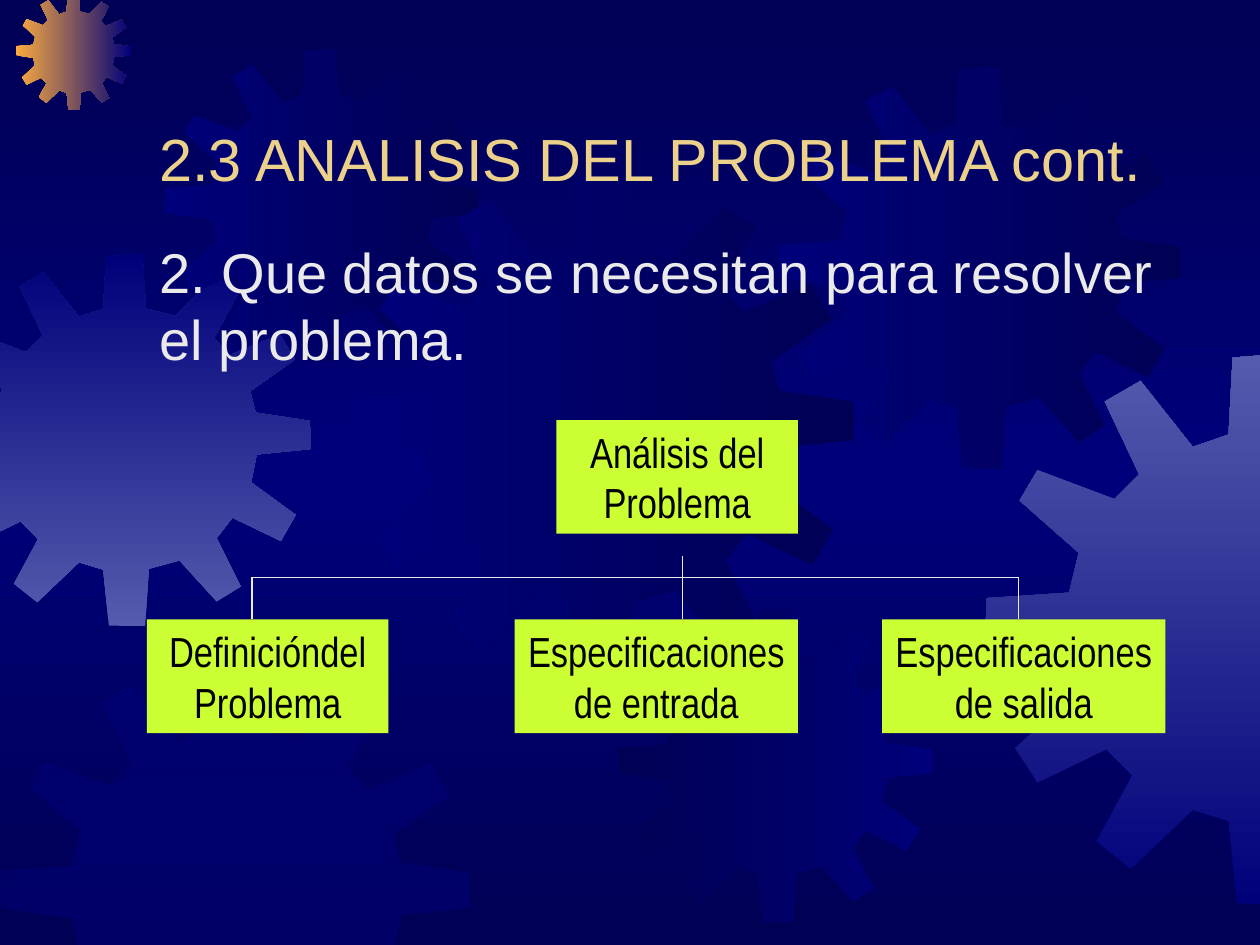
from copy import deepcopy
from dataclasses import dataclass

from lxml import etree
from pptx import Presentation
from pptx.dml.color import RGBColor
from pptx.enum.shapes import MSO_CONNECTOR, MSO_SHAPE
from pptx.enum.text import MSO_ANCHOR, MSO_AUTO_SIZE, PP_ALIGN
from pptx.oxml.ns import qn
from pptx.util import Pt

STRAIGHT = MSO_CONNECTOR.STRAIGHT
RECTANGLE = MSO_SHAPE.RECTANGLE
TOP, BOTTOM = MSO_ANCHOR.TOP, MSO_ANCHOR.BOTTOM
GROW = MSO_AUTO_SIZE.SHAPE_TO_FIT_TEXT
LEFT, CENTER = PP_ALIGN.LEFT, PP_ALIGN.CENTER


@dataclass(frozen=True)
class Theme:
    night: str = "000054"
    blue: str = "00007A"
    haze: str = "555BAD"
    orange: str = "FCAB40"
    gold: str = "EBD189"
    pale: str = "EAEAEA"
    lime: str = "CCFF33"
    black: str = "000000"
    font: str = "Arial"
    narrow: str = "Arial Narrow"
    title: int = 34
    body: int = 32
    label: int = 24
    rule: float = 0.75


THEME = Theme()
WIDTH, HEIGHT = 720, 540
RIGHTWARD, UPWARD = 0, 90
GEAR_UNITS = 401
GEAR_OUTLINE = [
    (255, 67), (223, 59), (219, 0), (180, 3), (177, 59), (151, 68),
    (113, 20), (87, 35), (112, 88), (94, 106), (38, 85), (25, 107),
    (68, 145), (61, 174), (1, 178), (0, 210), (61, 219), (67, 246),
    (22, 287), (38, 312), (88, 288), (107, 307), (81, 355), (106, 375),
    (151, 332), (177, 340), (183, 400), (222, 401), (226, 339), (259, 330),
    (299, 374), (325, 358), (299, 306), (316, 284), (368, 309), (384, 281),
    (336, 246), (342, 216), (401, 210), (400, 180), (341, 171), (335, 148),
    (383, 114), (367, 87), (313, 109), (296, 91), (323, 41), (297, 25),
]
GEARS = [
    ((-35, 145, 213), (THEME.haze, THEME.blue), UPWARD),
    ((9, -3, 66), (THEME.orange, THEME.blue), RIGHTWARD),
    ((94, 28, 179), (THEME.blue, THEME.night), RIGHTWARD),
    ((199, 100, 289), (THEME.blue, THEME.night), RIGHTWARD),
    ((0, 378, 269), (THEME.blue,), None),
    ((354, 348, 179), (THEME.night, THEME.blue), RIGHTWARD),
    ((445, 38, 230), (THEME.blue, THEME.night), RIGHTWARD),
    ((563, 202, 315), (THEME.blue, THEME.haze), UPWARD),
]


def apply(target, values):
    for name, value in values.items():
        setattr(target, name, value)


def color(code):
    return RGBColor.from_string(code)


def paint_stops(fill, codes, angle):
    fill.gradient_angle = angle
    for index, (stop, code) in enumerate(zip(fill.gradient_stops, codes)):
        stop.color.rgb = color(code)
        stop.position = index / (len(codes) - 1)


def paint_background(page):
    fill = page.background.fill
    fill.gradient()
    stops = page.element.find(".//" + qn("a:gsLst"))
    stops.append(deepcopy(stops[0]))
    paint_stops(fill, (THEME.night, THEME.blue, THEME.night), UPWARD)


def clip(points, axis, limit, sign):
    kept = []
    for start, end in zip(points[-1:] + points[:-1], points):
        start_in = sign * (start[axis] - limit) >= 0
        end_in = sign * (end[axis] - limit) >= 0
        if start_in != end_in:
            share = (limit - start[axis]) / (end[axis] - start[axis])
            kept.append(tuple(a + share * (b - a) for a, b in zip(start, end)))
        if end_in:
            kept.append(end)
    return kept


def add_gear(page, box, codes, angle):
    left, top, size = box
    scale = size / GEAR_UNITS
    points = [(left + x * scale, top + y * scale) for x, y in GEAR_OUTLINE]
    for axis, limit, sign in ((0, 0, 1), (0, WIDTH, -1), (1, 0, 1), (1, HEIGHT, -1)):
        points = clip(points, axis, limit, sign)
    corners = [(Pt(x), Pt(y)) for x, y in points]
    builder = page.shapes.build_freeform(*corners[0], scale=1.0)
    builder.add_line_segments(corners[1:], close=True)
    gear = builder.convert_to_shape()
    gear.shadow.inherit = False
    gear.line.fill.background()
    if angle is None:
        gear.fill.solid()
        gear.fill.fore_color.rgb = color(codes[0])
        tint = gear.element.spPr.find(".//" + qn("a:srgbClr"))
        etree.SubElement(tint, qn("a:alpha"), val="50000")
    else:
        gear.fill.gradient()
        paint_stops(gear.fill, codes, angle)


def write(shape, text, font, code, frame_values, para_values):
    frame = shape.text_frame
    apply(frame, {"word_wrap": True, **frame_values})
    para = frame.paragraphs[0]
    apply(para, para_values)
    span = para.add_run()
    span.text = text
    apply(span.font, font)
    span.font.color.rgb = color(code)
    return para


def add_title(page, box, text):
    shape = page.shapes.add_textbox(*map(Pt, box))
    font = {"name": THEME.font, "size": Pt(THEME.title)}
    write(shape, text, font, THEME.gold, {"vertical_anchor": BOTTOM}, {"alignment": LEFT})


def add_body(page, box, text):
    shape = page.shapes.add_textbox(*map(Pt, box))
    font = {"name": THEME.font, "size": Pt(THEME.body)}
    para = write(shape, text, font, THEME.pale, {"vertical_anchor": TOP},
                 {"alignment": LEFT, "space_before": Pt(8)})
    apply(para._p.get_or_add_pPr(), {"marL": Pt(48), "indent": -Pt(48)})


def add_node(page, box, text):
    shape = page.shapes.add_shape(RECTANGLE, *map(Pt, box))
    shape.shadow.inherit = False
    shape.fill.solid()
    shape.fill.fore_color.rgb = color(THEME.lime)
    shape.line.fill.background()
    font = {"name": THEME.narrow, "size": Pt(THEME.label)}
    write(shape, text, font, THEME.black,
          {"vertical_anchor": TOP, "auto_size": GROW},
          {"alignment": CENTER, "space_before": Pt(15)})


def add_rule(page, start, end):
    rule = page.shapes.add_connector(STRAIGHT, *map(Pt, start + end))
    rule.line.color.rgb = color(THEME.pale)
    rule.line.width = Pt(THEME.rule)
    etree.SubElement(rule.element.spPr, qn("a:effectLst"))


def add_tree(page, box):
    left, top, width, height = box
    node_height = 65
    child_top = top + height - node_height
    bar = top + 90
    add_node(page, (left + 234, top, 138, node_height), "Análisis del Problema")
    children = [
        (0, 138, "Definicióndel Problema"),
        (210, 162, "Especificaciones de entrada"),
        (width - 162, 162, "Especificaciones de salida"),
    ]
    for offset, child_width, text in children:
        add_node(page, (left + offset, child_top, child_width, node_height), text)
    stems = [left + offset for offset in (60, 306, 498)]
    add_rule(page, (stems[0], bar), (stems[-1], bar))
    add_rule(page, (stems[1], bar - 12), (stems[1], bar))
    for stem in stems:
        add_rule(page, (stem, bar), (stem, child_top))


def main():
    deck = Presentation()
    apply(deck, {"slide_width": Pt(WIDTH), "slide_height": Pt(HEIGHT)})
    page = deck.slides.add_slide(deck.slide_layouts[6])
    paint_background(page)
    for box, codes, angle in GEARS:
        add_gear(page, box, codes, angle)
    add_title(page, (84, 24, 612, 90), "2.3 ANALISIS DEL PROBLEMA cont.")
    add_body(page, (84, 132, 612, 324),
             "2. Que datos se necesitan para resolver el problema.")
    add_tree(page, (84, 240, 582, 179))
    deck.save("out.pptx")


if __name__ == "__main__":
    main()
